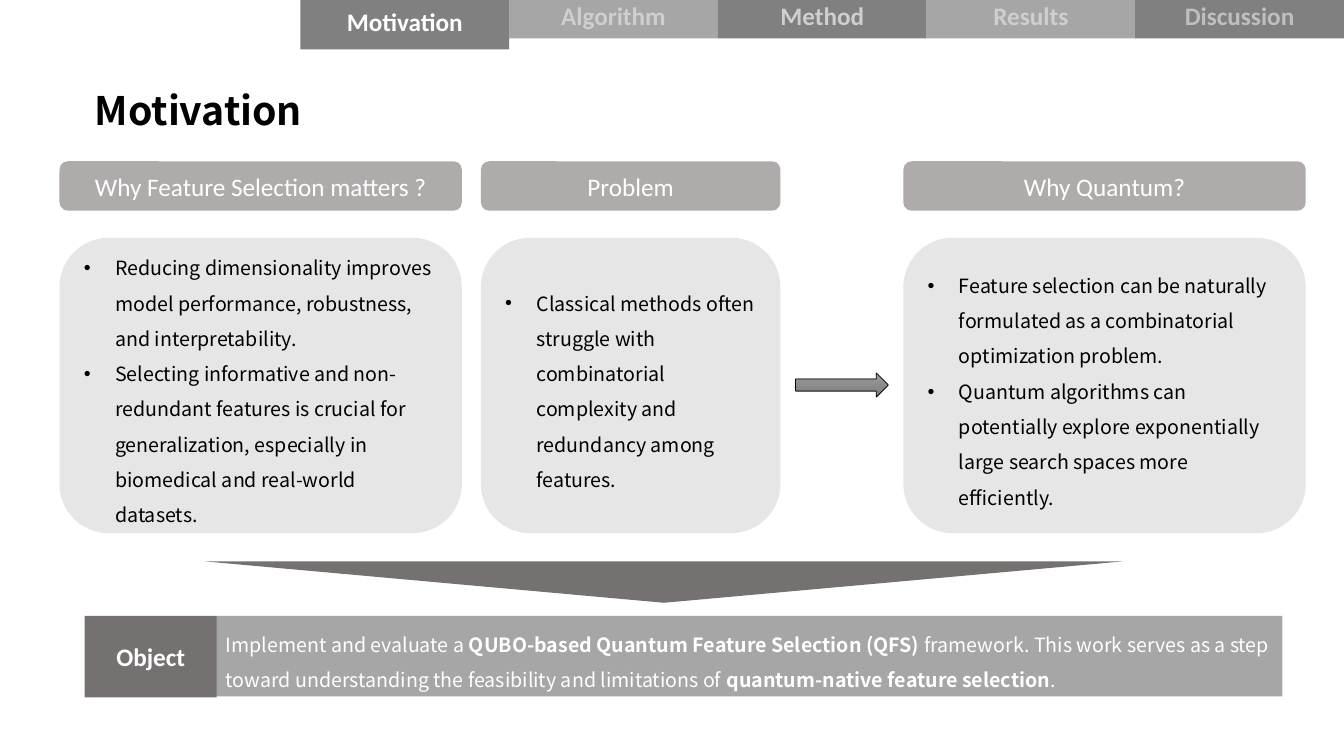
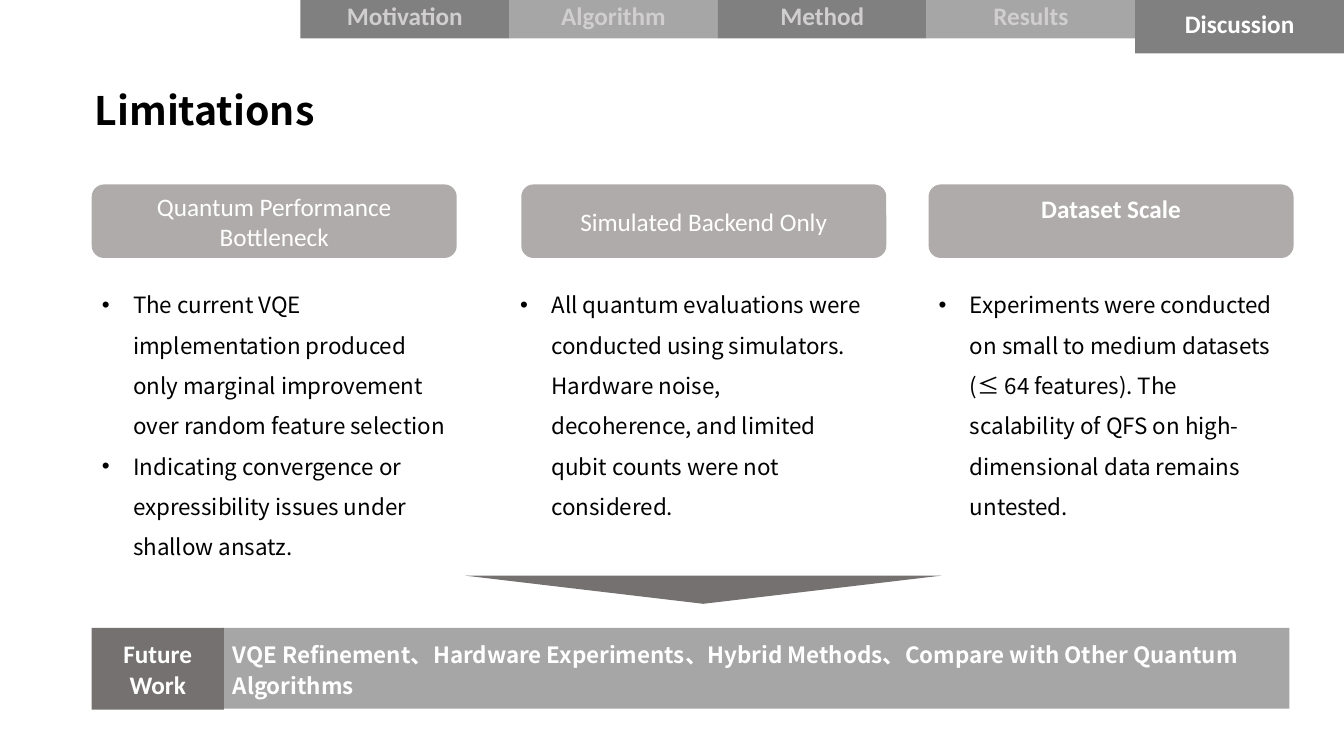
from dataclasses import dataclass

from lxml.etree import SubElement
from pptx import Presentation
from pptx.dml.color import RGBColor
from pptx.enum.shapes import MSO_SHAPE as SHAPE
from pptx.enum.text import MSO_ANCHOR as ANCHOR, MSO_AUTO_SIZE as FIT, PP_ALIGN as ALIGN
from pptx.oxml.ns import qn
from pptx.util import Inches, Pt


@dataclass(frozen=True)
class Theme:
    black: str = "000000"
    white: str = "FFFFFF"
    dark: str = "767171"
    tab_dark: str = "808080"
    mid: str = "A6A6A6"
    header: str = "AFABAB"
    panel: str = "E7E6E6"
    tab_text: str = "D0CECE"
    tab_text_last: str = "BFBFBF"
    arrow_top: str = "9D9D9D"
    arrow_bottom: str = "7C7C7C"
    latin: str = "Calibri"
    cjk: str = "Noto Sans CJK TC"
    title: int = 28
    label: int = 18
    text: int = 16
    small: int = 14


T = Theme()


def write(sp, paragraphs, size=T.label, font=T.latin, color=T.white, bold=False,
          align=ALIGN.CENTER, anchor=ANCHOR.MIDDLE, spacing=1.0, after=0, bullet=False):
    """Fill a shape; a paragraph is a string or a list of (text, bold) runs."""
    tf = sp.text_frame
    tf.word_wrap, tf.auto_size, tf.vertical_anchor = True, FIT.NONE, anchor
    for i, runs in enumerate(paragraphs):
        p = tf.add_paragraph() if i else tf.paragraphs[0]
        p.alignment, p.line_spacing = align, spacing
        p.space_before, p.space_after = Pt(0), Pt(after)
        if bullet:
            pPr = p._p.get_or_add_pPr()
            pPr.set("marL", str(Inches(0.31)))
            pPr.set("indent", str(-Inches(0.31)))
            SubElement(pPr, qn("a:buFont"), typeface="Arial")
            SubElement(pPr, qn("a:buChar"), char="•")
        for text, strong in [(runs, bold)] if isinstance(runs, str) else runs:
            r = p.add_run()
            r.text = text
            r.font.size, r.font.bold, r.font.name = Pt(size), strong, font
            r.font.color.rgb = RGBColor.from_string(color)
            SubElement(r._r.get_or_add_rPr(), qn("a:ea"), typeface=font)


def add_box(slide, kind, left, top, width, height, fill):
    sp = slide.shapes.add_shape(kind, Inches(left), Inches(top), Inches(width), Inches(height))
    sp.fill.solid()
    sp.fill.fore_color.rgb = RGBColor.from_string(fill)
    sp.line.fill.background()
    sp.shadow.inherit = False
    return sp


LIST = dict(font=T.cjk, color=T.black, align=ALIGN.LEFT, spacing=1.5, bullet=True)
TABS = ["Motivation", "Algorithm", "Method", "Results", "Discussion"]
TAB_LEFT, TAB_TOP, TAB_WIDTH, TAB_HEIGHT = 2.98, -0.07, 2.07, 0.45

prs = Presentation()
prs.slide_width, prs.slide_height = Inches(13.33), Inches(7.5)
motivation = prs.slides.add_slide(prs.slide_layouts.get_by_name("Title Only"))
limitations = prs.slides.add_slide(prs.slide_layouts.get_by_name("Comparison"))

goal = [
    ("Implement and evaluate a ", False),
    ("QUBO-based Quantum Feature Selection (QFS)", True),
    (" framework. This work serves as a step toward understanding the feasibility "
     "and limitations of ", False),
    ("quantum-native feature selection", True),
    (".", False),
]
future = "VQE Refinement、Hardware Experiments、Hybrid Methods、Compare with Other Quantum Algorithms"

# Title, navigation tabs, wedge and conclusion banner
frames = [
    (motivation, "Motivation", 0, 0.56, (2.04, 5.57, 9.09, 0.41), (0.84, 6.11),
     "Object", goal, dict(size=T.small, spacing=1.5)),
    (limitations, "Limitations", 4, 0.6, (4.61, 5.71, 4.73, 0.28), (0.91, 6.23),
     "Future Work", future, dict(size=T.text, spacing=1.15, after=8, bold=True)),
]
for slide, title, active, active_height, wedge_at, (left, top), label, message, fmt in frames:
    sp = slide.shapes.title
    sp.left, sp.top, sp.width, sp.height = Inches(0.84), Inches(0.86), Inches(11.5), Inches(0.73)
    write(sp, [title], size=T.title, font=T.cjk, color=T.black, bold=True,
          align=ALIGN.LEFT, anchor=ANCHOR.TOP, spacing=0.9)

    for i, name in enumerate(TABS):
        height = active_height if i == active else TAB_HEIGHT
        tab = add_box(slide, SHAPE.RECTANGLE, TAB_LEFT + i * TAB_WIDTH, TAB_TOP, TAB_WIDTH, height,
                      T.mid if i % 2 else T.tab_dark)
        idle = T.tab_text_last if name == TABS[-1] else T.tab_text
        write(tab, [name], color=T.white if i == active else idle, bold=True)

    wedge = add_box(slide, SHAPE.ISOSCELES_TRIANGLE, *wedge_at, T.dark)
    wedge.rotation = 180

    banner = add_box(slide, SHAPE.RECTANGLE, left + 1.3, top, 10.58, 0.8, T.mid)
    write(banner, [message], font=T.cjk, align=ALIGN.LEFT, **fmt)
    tag = add_box(slide, SHAPE.RECTANGLE, left, top, 1.31, 0.81, T.dark)
    write(tag, [label], bold=True)

# Motivation: three headed panels and an arrow
panels = [
    (0.59, 3.99, "Why Feature Selection matters ?", [
        "Reducing dimensionality improves model performance, robustness, and interpretability.",
        "Selecting informative and non-redundant features is crucial for generalization, "
        "especially in biomedical and real-world datasets."]),
    (4.77, 2.97, "Problem", [
        "Classical methods often struggle with combinatorial complexity and redundancy "
        "among features."]),
    (8.96, 3.99, "Why Quantum?", [
        "Feature selection can be naturally formulated as a combinatorial optimization problem.",
        "Quantum algorithms can potentially explore exponentially large search spaces "
        "more efficiently."]),
]
for left, width, heading, points in panels:
    header = add_box(motivation, SHAPE.ROUNDED_RECTANGLE, left, 1.6, width, 0.49, T.header)
    write(header, [heading])
    panel = add_box(motivation, SHAPE.ROUNDED_RECTANGLE, left, 2.36, width, 2.93, T.panel)
    write(panel, points, size=T.small, **LIST)

arrow = add_box(motivation, SHAPE.RIGHT_ARROW, 7.89, 3.7, 0.92, 0.24, T.tab_dark)
arrow.fill.gradient()
arrow.fill.gradient_angle = 270
for stop, color in zip(arrow.fill.gradient_stops, (T.arrow_top, T.arrow_bottom)):
    stop.color.rgb = RGBColor.from_string(color)
arrow.line.color.rgb = RGBColor.from_string(T.black)
arrow.line.width = Pt(0.5)

# Limitations: three headed lists
columns = [
    (0.91, 3.28, "Quantum Performance Bottleneck", {}, [
        "The current VQE implementation produced only marginal improvement over random "
        "feature selection",
        "Indicating convergence or expressibility issues under shallow ansatz."]),
    (5.17, 2.47, "Simulated Backend Only", {}, [
        "All quantum evaluations were conducted using simulators. Hardware noise, "
        "decoherence, and limited qubit counts were not considered."]),
    (9.21, 2.07, "Dataset Scale", dict(bold=True, anchor=ANCHOR.TOP), [
        "Experiments were conducted on small to medium datasets (≤ 64 features). "
        "The scalability of QFS on high-dimensional data remains untested."]),
]
title, *bodies = limitations.placeholders
for i, (left, height, heading, fmt, points) in enumerate(columns):
    header = add_box(limitations, SHAPE.ROUNDED_RECTANGLE, left, 1.83, 3.62, 0.73, T.header)
    write(header, [heading], **fmt)
    body = bodies[i]
    body.left, body.top = Inches(0.91 + i * 4.15), Inches(2.71)
    body.width, body.height = Inches(3.62), Inches(height)
    write(body, points, size=T.text, anchor=ANCHOR.TOP, **LIST)
for spare in bodies[len(columns):]:
    spare.element.getparent().remove(spare.element)

prs.save("out.pptx")
